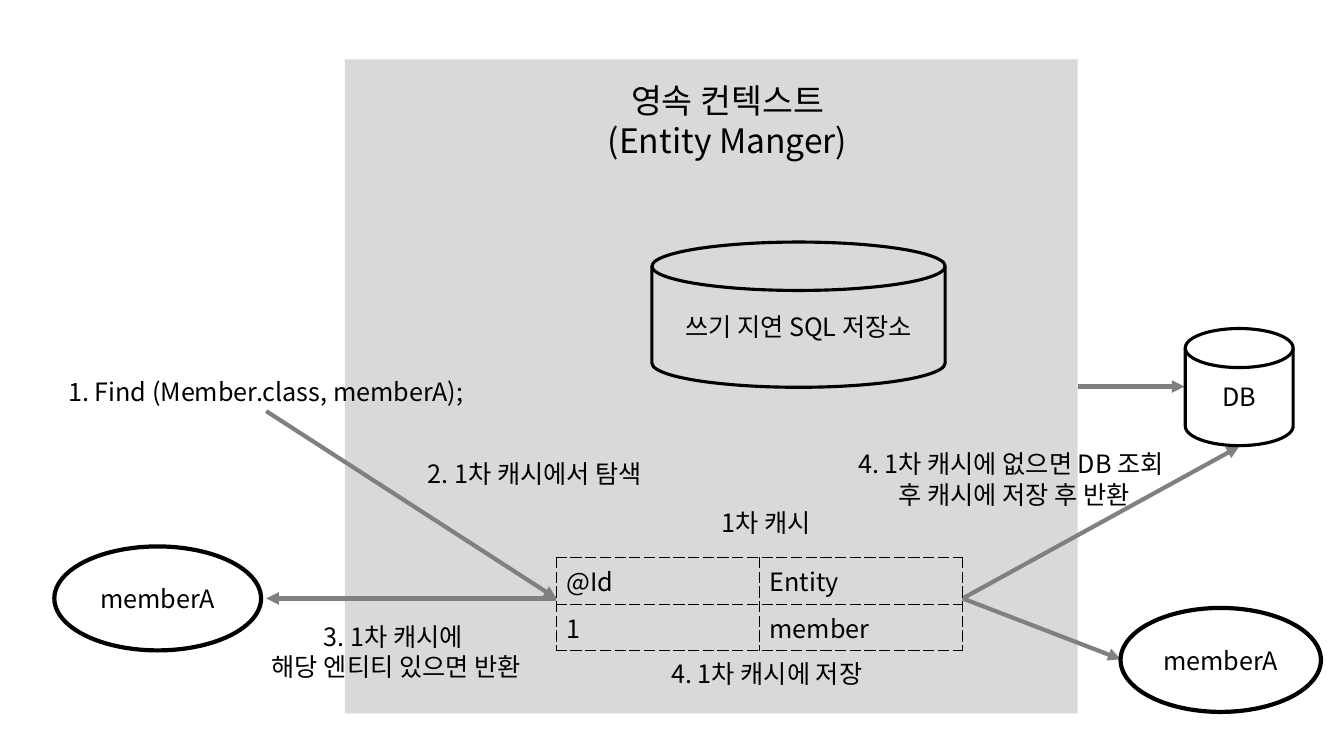
from lxml import etree
from pptx import Presentation
from pptx.dml.color import RGBColor
from pptx.enum.shapes import MSO_CONNECTOR, MSO_SHAPE
from pptx.enum.text import MSO_ANCHOR, MSO_AUTO_SIZE, PP_ALIGN
from pptx.oxml.ns import qn
from pptx.util import Cm, Pt

BLACK = RGBColor(0x00, 0x00, 0x00)
GRAY = RGBColor(0x80, 0x80, 0x80)
PALE = RGBColor(0xD9, 0xD9, 0xD9)
FONT = "Noto Sans CJK KR"
OVAL = MSO_SHAPE.OVAL
DISK = MSO_SHAPE.FLOWCHART_MAGNETIC_DISK
RECT = MSO_SHAPE.RECTANGLE
LINE = MSO_CONNECTOR.STRAIGHT
TOP, MID = MSO_ANCHOR.TOP, MSO_ANCHOR.MIDDLE
LEFT, CENTER = PP_ALIGN.LEFT, PP_ALIGN.CENTER
FIXED = MSO_AUTO_SIZE.NONE

PANEL = (8.69, 1.5, 18.47, 16.48)
TITLE = ("영속 컨텍스트\v(Entity Manger)", (14.88, 1.88, 6.91, 2.31))
CACHE = [("@Id", "Entity"), ("1", "member")]
GRID = (14.02, 14.05, 10.24, 2.06)
NODES = [
    (OVAL, "memberA", (1.37, 13.77, 5.21, 2.62), 3),
    (DISK, "쓰기 지연 SQL 저장소", (16.43, 6.1, 7.39, 3.66), 2.25),
    (DISK, "DB", (29.87, 8.28, 2.72, 2.95), 2.25),
    (OVAL, "memberA", (28.24, 15.32, 5.05, 2.62), 3),
]
LABELS = [
    ("1. Find (Member.class, memberA);", (0.25, 9.35, 12.9, 1.02)),
    ("1차 캐시", (16.51, 12.67, 5.61, 1.02)),
    ("2. 1차 캐시에서 탐색", (9.32, 11.43, 8.33, 1.02)),
    ("4. 1차 캐시에 저장", (15.16, 16.46, 8.33, 1.02)),
    ("3. 1차 캐시에 \v해당 엔티티 있으면 반환", (5.82, 15.52, 8.33, 1.8)),
    ("4. 1차 캐시에 없으면 DB 조회 \n후 캐시에 저장 후 반환", (21.23, 11.18, 8.64, 1.8)),
]
ROW_Y = GRID[1] + GRID[3] / 2
IN = (GRID[0], ROW_Y)
OUT = (GRID[0] + GRID[2], ROW_Y)
ARROWS = [
    ((6.71, 10.36), IN),
    (IN, (6.71, ROW_Y)),
    ((PANEL[0] + PANEL[2], 9.74), (29.85, 9.74)),
    (OUT, (31.23, 11.25)),
    (OUT, (28.24, 16.61)),
]


def cm(nums):
    return [Cm(n) for n in nums]


def write(frame, text, size=18, align=CENTER, anchor=TOP):
    frame.word_wrap = True
    frame.vertical_anchor = anchor
    for i, part in enumerate(text.split("\n")):
        para = frame.add_paragraph() if i else frame.paragraphs[0]
        para.alignment = align
        for j, piece in enumerate(part.split("\v")):
            if j:
                para.add_line_break()
            run = para.add_run()
            run.text = piece
            run.font.name = FONT
            run.font.size = Pt(size)
            run.font.color.rgb = BLACK
            props = run.font._element
            etree.SubElement(props, qn("a:ea"), typeface=FONT)


def add_node(slide, kind, box):
    node = slide.shapes.add_shape(kind, *cm(box))
    node.shadow.inherit = False
    return node


def add_arrow(slide, start, end):
    arrow = slide.shapes.add_connector(LINE, *cm(start + end))
    arrow.line.color.rgb = GRAY
    arrow.line.width = Pt(3)
    etree.SubElement(arrow.line._get_or_add_ln(), qn("a:tailEnd"), type="triangle")
    etree.SubElement(arrow._element.spPr, qn("a:effectLst"))


def add_edges(cell):
    props = cell._tc.get_or_add_tcPr()
    for i, side in enumerate("LRTB"):
        edge = etree.Element(qn("a:ln" + side), w=str(Pt(1)))
        fill = etree.SubElement(edge, qn("a:solidFill"))
        etree.SubElement(fill, qn("a:srgbClr"), val=str(BLACK))
        etree.SubElement(edge, qn("a:prstDash"), val="sysDash")
        props.insert(i, edge)


def add_cache(slide):
    table = slide.shapes.add_table(len(CACHE), len(CACHE[0]), *cm(GRID)).table
    table.first_row = False
    table.horz_banding = False
    for r, row in enumerate(CACHE):
        for c, text in enumerate(row):
            cell = table.cell(r, c)
            cell.fill.background()
            add_edges(cell)
            write(cell.text_frame, text, align=LEFT)


def main():
    deck = Presentation()
    deck.slide_width, deck.slide_height = cm((33.87, 19.05))
    slide = deck.slides.add_slide(deck.slide_layouts.get_by_name("Title Only"))

    panel = add_node(slide, RECT, PANEL)
    panel.fill.solid()
    panel.fill.fore_color.rgb = PALE
    panel.line.fill.background()

    title = slide.shapes.title
    text, box = TITLE
    title.left, title.top, title.width, title.height = cm(box)
    title.text_frame.auto_size = FIXED
    write(title.text_frame, text, size=24)
    panel.element.addnext(title.element)

    for start, end in ARROWS:
        add_arrow(slide, start, end)
    for kind, text, box, width in NODES:
        node = add_node(slide, kind, box)
        node.fill.background()
        node.line.color.rgb = BLACK
        node.line.width = Pt(width)
        write(node.text_frame, text, anchor=MID)
    add_cache(slide)
    for text, box in LABELS:
        write(slide.shapes.add_textbox(*cm(box)).text_frame, text)

    deck.save("out.pptx")


if __name__ == "__main__":
    main()
